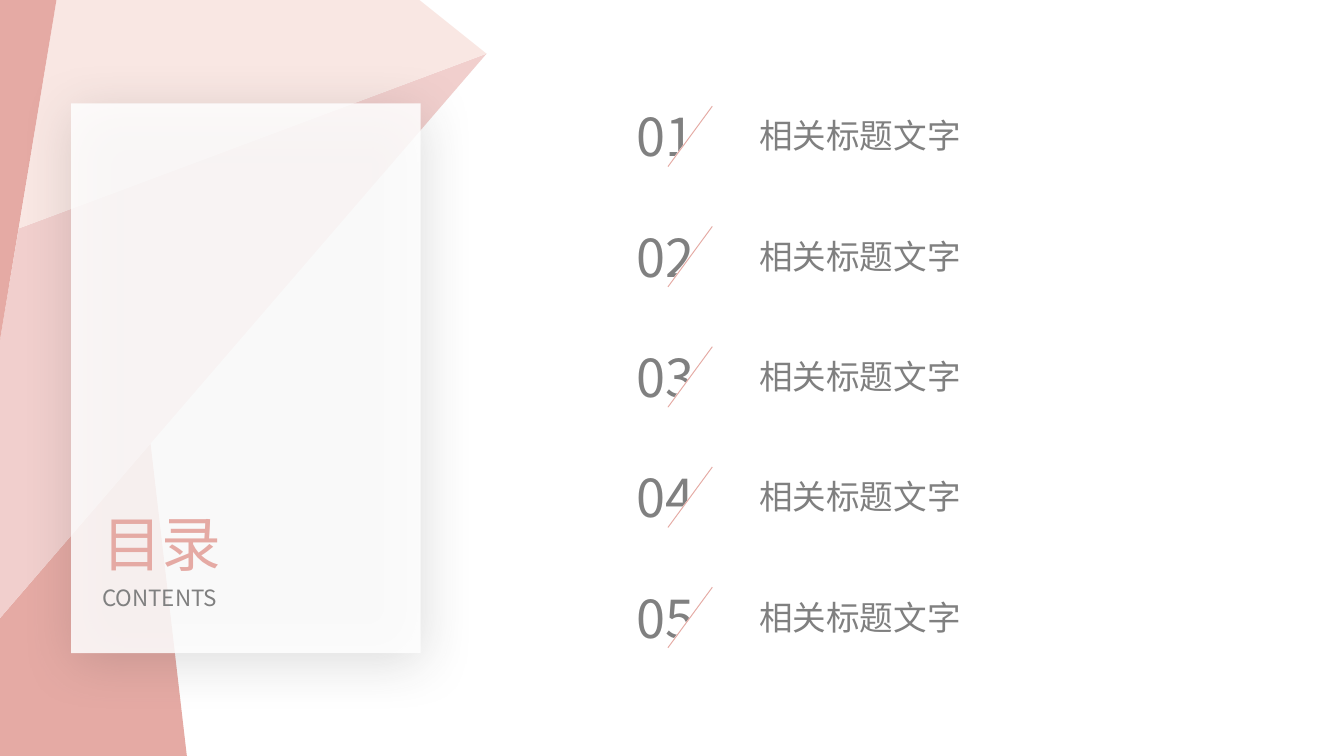
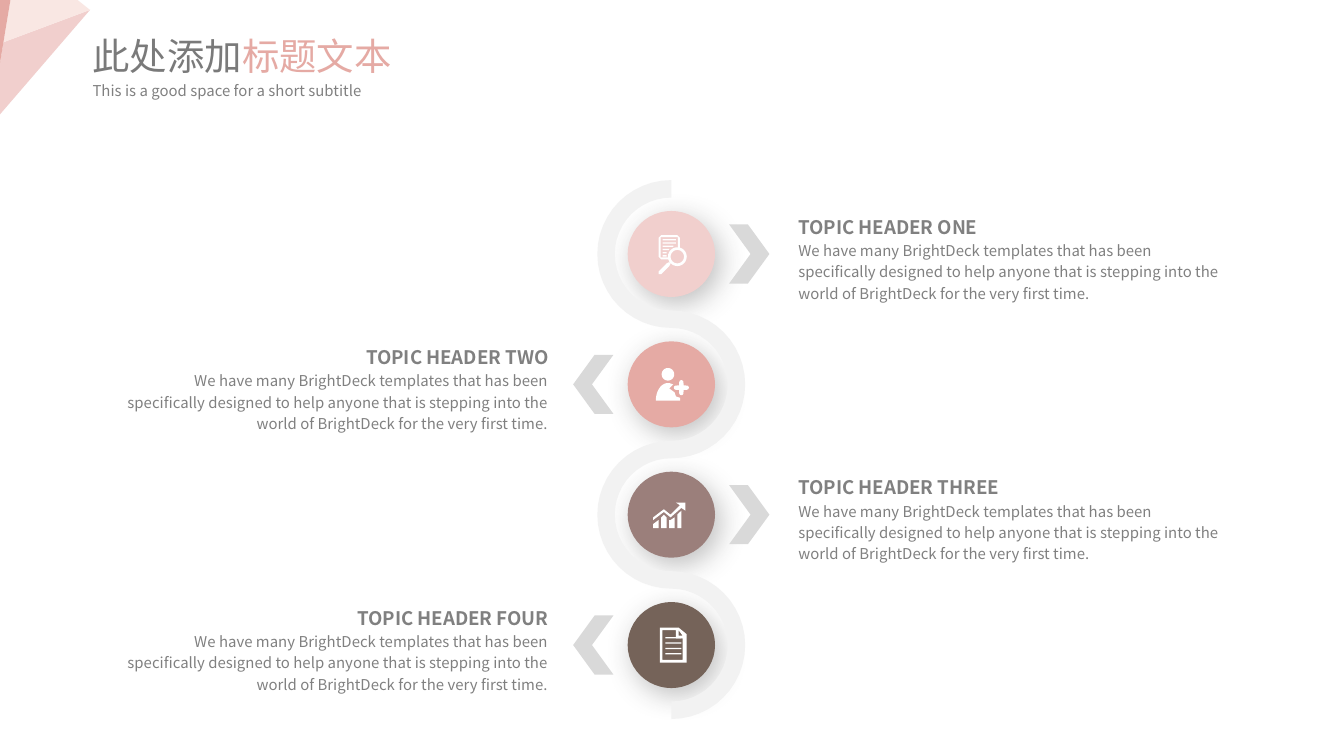
from math import cos, pi, sin

from lxml.etree import SubElement
from pptx import Presentation
from pptx.dml.color import RGBColor
from pptx.enum.shapes import MSO_CONNECTOR as LINE, MSO_SHAPE as SHAPE
from pptx.enum.text import MSO_AUTO_SIZE as FIT, PP_ALIGN as ALIGN
from pptx.oxml.ns import qn
from pptx.util import Emu, Inches, Pt

FONT = "Noto Sans CJK SC"
WHITE, GREY, TITLE_GREY = "FFFFFF", "808080", "7A7A7A"
ROSE, PINK, BLUSH = "E5AAA4", "F1CFCD", "F9E7E3"
MAUVE, BROWN = "9B7F7B", "756359"
RIBBON, ARROW, SHADE = "F2F2F2", "D9D9D9", "333333"
COLS, ROWS = 100, 56.25

BODY = ("We have many BrightDeck templates that has been specifically designed to help "
        "anyone that is stepping into the world of BrightDeck for the very first time.")
TOPICS = [("ONE", PINK), ("TWO", ROSE), ("THREE", MAUVE), ("FOUR", BROWN)]


def rgb(color):
    """Turn a hex string into a colour."""
    return RGBColor.from_string(color)


def arc(x, y, rx, ry, start=0, sweep=360, steps=24):
    """List points along an elliptical arc, with angles in degrees."""
    angles = [(start + sweep * i / steps) * pi / 180 for i in range(steps + 1)]
    return [(x + rx * cos(a), y + ry * sin(a)) for a in angles]


class Deck:
    """Hold the style and the current slide; lengths are grid columns and rows."""

    def __init__(self):
        """Open a widescreen deck."""
        self.prs = Presentation()
        self.prs.slide_width, self.prs.slide_height = Inches(10), Inches(5.625)
        self.shapes = None

    def slide(self):
        """Start a blank slide."""
        self.shapes = self.prs.slides.add_slide(self.prs.slide_layouts[6]).shapes

    def x(self, cols):
        """Convert columns to a length."""
        return Emu(round(self.prs.slide_width * cols / COLS))

    def y(self, rows):
        """Convert rows to a length."""
        return Emu(round(self.prs.slide_height * rows / ROWS))

    def box(self, left, top, width, height):
        """Convert a grid rectangle to lengths."""
        return self.x(left), self.y(top), self.x(width), self.y(height)

    def paint(self, sp, color):
        """Give a shape a flat fill without line or shadow."""
        sp.shadow.inherit = False
        sp.fill.solid()
        sp.fill.fore_color.rgb = rgb(color)
        sp.line.fill.background()
        return sp

    def shape(self, kind, color, *box):
        """Add a flat preset shape."""
        return self.paint(self.shapes.add_shape(kind, *self.box(*box)), color)

    def poly(self, color, *contours, at=(0, 0), scale=1):
        """Add a freeform of closed contours."""
        placed = [[(self.x(at[0] + scale * x), self.y(at[1] + scale * y)) for x, y in c]
                  for c in contours]
        builder = self.shapes.build_freeform(*placed[0][0])
        for i, points in enumerate(placed):
            if i:
                builder.move_to(*points[0])
            builder.add_line_segments(points[1:], close=True)
        return self.paint(builder.convert_to_shape(), color)

    def shadow(self, sp, alpha, blur, angle):
        """Add a soft outer shadow."""
        effects = sp._element.spPr.find(qn("a:effectLst"))
        outer = SubElement(effects, qn("a:outerShdw"), blurRad=str(Pt(blur)), dist=str(Pt(5)),
                           dir=str(angle * 60000), algn="ctr", rotWithShape="0")
        tint = SubElement(outer, qn("a:srgbClr"), val=SHADE)
        SubElement(tint, qn("a:alpha"), val=str(alpha * 1000))

    def opacity(self, sp, percent):
        """Make a solid fill translucent."""
        tint = sp._element.spPr.find(qn("a:solidFill"))[0]
        SubElement(tint, qn("a:alpha"), val=str(percent * 1000))

    def line(self, color, width, *ends):
        """Add a straight line."""
        x1, y1, x2, y2 = ends
        cn = self.shapes.add_connector(LINE.STRAIGHT, self.x(x1), self.y(y1), self.x(x2), self.y(y2))
        cn.line.color.rgb, cn.line.width = rgb(color), Pt(width)
        SubElement(cn._element.spPr, qn("a:effectLst"))

    def text(self, box, *paras, align=None, wrap=False, insets=(1, 0.5), spacing=None):
        """Add a text box; each paragraph is size, bold and (words, colour) runs."""
        tf = self.shapes.add_textbox(*self.box(*box)).text_frame
        tf.word_wrap, tf.auto_size = wrap, FIT.SHAPE_TO_FIT_TEXT
        tf.margin_left = tf.margin_right = self.x(insets[0])
        tf.margin_top = tf.margin_bottom = self.y(insets[1])
        for i, (size, bold, *runs) in enumerate(paras):
            p = tf.add_paragraph() if i else tf.paragraphs[0]
            p.alignment, p.line_spacing = align, spacing
            p.font.size, p.font.bold, p.font.name = Pt(size), bold, FONT
            if len(runs) == 1:
                p.font.color.rgb = rgb(runs[0][1])
            SubElement(p.font._element, qn("a:ea"), typeface=FONT)
            for words, color in runs:
                r = p.add_run()
                r.text = words
                if len(runs) > 1:
                    r.font.color.rgb = rgb(color)

    def corner(self, scale=1):
        """Draw the faceted corner ornament."""
        tip, fold = (36.2, 4), (1.4, 17)
        self.poly(PINK, [tip, fold, (0, 25.3), (0, 46)], scale=scale)
        self.poly(BLUSH, [tip, (31.2, 0), (4.2, 0), fold], scale=scale)
        self.poly(ROSE, [(4.2, 0), (0, 0), (0, 25.3)], scale=scale)


def contents(d):
    """Build the contents slide."""
    d.slide()
    d.poly(ROSE, [(11.2, 33), (13.9, ROWS), (0, ROWS), (0, 46)])
    d.corner()
    card = d.shape(SHAPE.RECTANGLE, WHITE, 5.3, 7.7, 26, 40.9)
    d.opacity(card, 85)
    d.shadow(card, 20, 29, 77)
    for words, size, color, top, height in [("目录", 32, ROSE, 37.2, 6.4),
                                            ("CONTENTS", 12, GREY, 43, 3)]:
        d.text((7.6, top, 11.9, height), (size, False, (words, color)),
               align=ALIGN.JUSTIFY, wrap=True, insets=(0, 0.5))
    for i in range(5):
        top = 7.3 + 8.95 * i
        d.text((46.4, top, 6.6, 5.7), (28, False, (f"{i + 1:02}", GREY)))
        d.text((55.5, top + 0.8, 17.2, 4), (18, False, ("相关标题文字", GREY)))
        d.shape(SHAPE.RIGHT_TRIANGLE, WHITE, 49.1, top + 1.1, 4.5, 3.4).rotation = 270
        d.line(ROSE, 0.5, 53, top + 0.6, 49.7, top + 5.1)


def search_icon(d, at):
    """Draw a page under a magnifier."""
    widths = [1, 1, 0.8, 0.5, 0.3, 0.3]
    bars = [[(-0.7, y), (w - 0.7, y), (w - 0.7, y + 0.1), (-0.7, y + 0.1)]
            for y, w in zip([-1.1 + 0.24 * i for i in range(6)], widths)]
    d.poly(WHITE, *bars, at=at)
    d.poly(WHITE, arc(0.4, 0.2, 0.7, 0.7), arc(0.4, 0.2, 0.5, 0.5), at=at)
    d.poly(WHITE, [(-0.4, 0.7), (-0.2, 0.9), (-0.8, 1.5), (-1, 1.5), (-1, 1.3)],
           [(-0.4, 0.7), (-0.2, 0.6), (-0.1, 0.7), (-0.2, 0.9)], at=at)
    d.poly(WHITE, [(-0.2, 0.4), (-0.8, 0.4), (-1, 0.2), (-1, -1.2), (-0.8, -1.4), (0.4, -1.4),
                   (0.6, -1.2), (0.6, -0.4), (0.45, -0.4), (0.45, -1.25), (-0.85, -1.25),
                   (-0.85, 0.25), (-0.2, 0.25)], at=at)


def person_icon(d, at):
    """Draw a person with a plus sign."""
    plus = []
    for turn in range(0, 360, 90):
        a = turn * pi / 180
        plus += arc(0.7 + 0.4 * cos(a), 0.25 + 0.4 * sin(a), 0.16, 0.16, turn - 90, 180, 8)
        plus += arc(0.7, 0.25, 0.23, 0.23, turn + 45, 0, 1)
    d.poly(WHITE, plus, at=at)
    d.poly(WHITE, arc(-0.3, -0.75, 0.47, 0.47),
           arc(-0.3, 1.2, 0.9, 1.3, 180, 110) + [(0.1, 0), (-0.2, 0.3), (0.2, 0.6), (0.3, 0.9),
                                                 (0.6, 1), (0.6, 1.2)], at=at)


def growth_icon(d, at):
    """Draw bars under a rising arrow."""
    d.poly(WHITE, [(-1.4, 1), (-1.4, 0.7), (-1, 0.4), (-1, 1)],
           [(-0.8, 1), (-0.8, 0.2), (-0.6, 0), (-0.4, 0.2), (-0.4, 1)],
           [(-0.2, 1), (-0.2, 0.4), (-0.1, 0.4), (0.2, 0.2), (0.2, 1)],
           [(0.4, 1), (0.4, 0), (0.7, -0.3), (0.7, 1)], at=at)
    d.poly(WHITE, [(1, -0.9), (0.3, -0.9), (0.6, -0.7), (-0.1, 0), (-0.6, -0.4), (-1.4, 0.2),
                   (-1.4, 0.4), (-0.6, -0.2), (-0.1, 0.2), (0.7, -0.5), (1, -0.3)], at=at)


def page_icon(d, at):
    """Draw a page with a folded corner and four lines."""
    d.poly(WHITE, [(1.1, -0.8), (0.5, -1.3), (-0.9, -1.3), (-0.9, 1.3), (1.1, 1.3)],
           [(0.8, -0.7), (0.5, -0.7), (0.5, -1.1)],
           [(0.8, 1.1), (-0.7, 1.1), (-0.7, -1.1), (0.3, -1.1), (0.3, -0.5), (0.8, -0.5)], at=at)
    for i in range(4):
        d.shape(SHAPE.RECTANGLE, WHITE, at[0] - 0.5, at[1] - 0.6 + 0.4 * i, 1.2, 0.1)


def topics(d):
    """Build the winding four-topic slide."""
    d.slide()
    cx, outer, inner = 49.95, 5.5, 4.2
    stops = [(18.9 + (outer + inner) * i, 1 if i % 2 == 0 else -1) for i in range(len(TOPICS))]
    for (cy, _), (_, color) in zip(stops, TOPICS):
        disc = d.shape(SHAPE.OVAL, color, cx - 3.25, cy - 3.2, 6.5, 6.4)
        d.shadow(disc, 30, 15, 55)
    near, far = [], []
    for cy, side in stops:
        radii = (outer, inner) if side > 0 else (inner, outer)
        for edge, r in zip((near, far), radii):
            edge += arc(cx, cy, r, r, -90, -180 * side)
    d.poly(RIBBON, near + far[::-1])
    for cy, side in stops:
        d.poly(ARROW, [(cx + side * x, cy + y) for x, y in [
            (4.3, -2.2), (5.9, 0), (4.3, 2.2), (5.7, 2.2), (7.3, 0), (5.7, -2.2)]])
    icons = [search_icon, person_icon, growth_icon, page_icon]
    for (cy, side), (name, _), icon in zip(stops, TOPICS, icons):
        icon(d, (50, cy))
        d.text((59.4 if side > 0 else 8.5, cy - 3.2, 32.3, 6.9),
               (10, True, (f"TOPIC HEADER {name}", GREY)), (8, False, (BODY, GREY)),
               align=ALIGN.LEFT if side > 0 else ALIGN.RIGHT, wrap=True, insets=(0, 0), spacing=1.2)
    d.corner(0.185)
    d.text((5.9, 2, 24.5, 4.4), (20, False, ("此处添加", TITLE_GREY), ("标题文本", ROSE)))
    d.text((5.9, 5.6, 23.1, 2.4), (8, False, ("This is a good space for a short subtitle", GREY)))


def main():
    """Build and save the deck."""
    d = Deck()
    contents(d)
    topics(d)
    d.prs.save("out.pptx")


if __name__ == "__main__":
    main()
